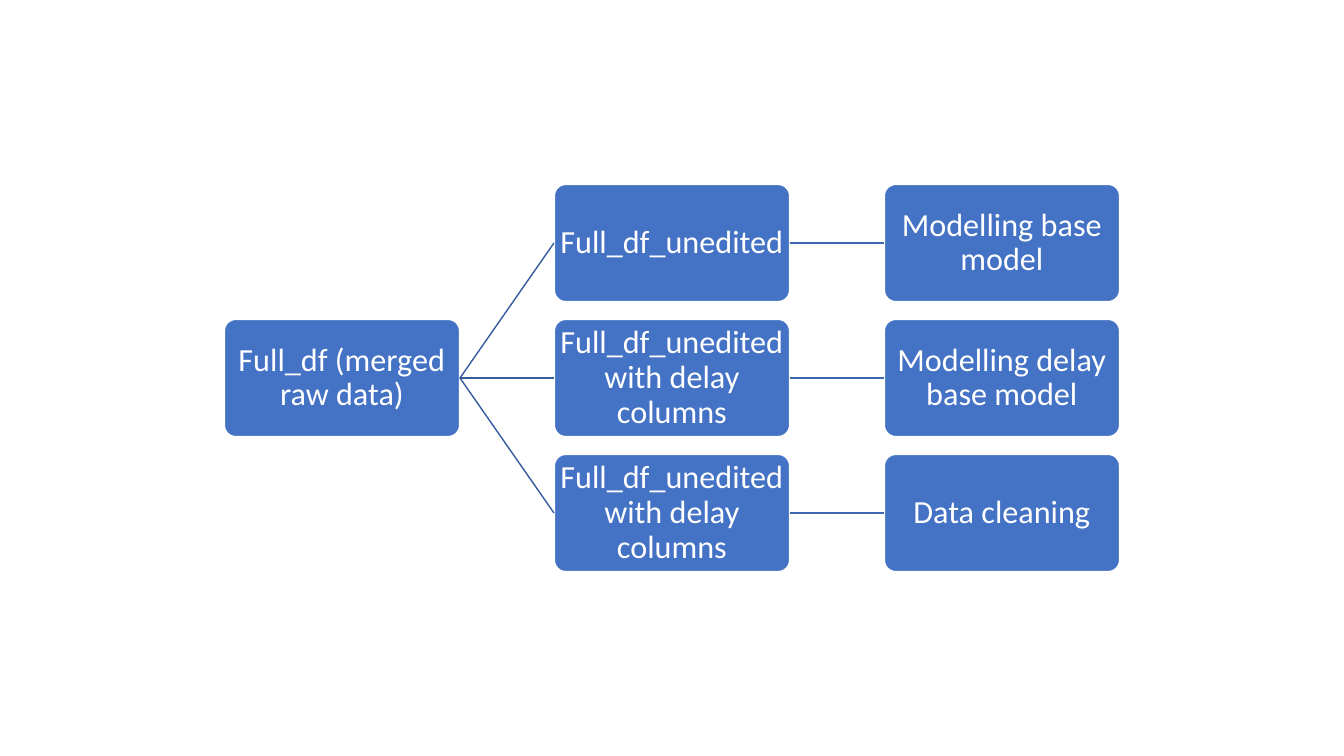
import pptx
import pptx.util
import pptx.dml.color
import pptx.enum.shapes
import pptx.enum.text
import pptx.oxml

PIXEL = 914400 / 100.8
BLUE = pptx.dml.color.RGBColor(0x44, 0x72, 0xC4)
WHITE = pptx.dml.color.RGBColor(0xFF, 0xFF, 0xFF)
ROOT_LINE = pptx.dml.color.RGBColor(0x36, 0x5B, 0x9D)
BRANCH_LINE = pptx.dml.color.RGBColor(0x3E, 0x67, 0xB2)

BOX_WIDTH, BOX_HEIGHT = 236, 118
LEFT, COLUMN_STEP = 224, 330
TOP, ROW_STEP = 184, 135
LEFT_SITE, RIGHT_SITE = 1, 3


def pixels(count):
    return pptx.util.Emu(round(count * PIXEL))


def add_box(column, row, text):
    box = slide.shapes.add_shape(
        pptx.enum.shapes.MSO_SHAPE.ROUNDED_RECTANGLE,
        pixels(LEFT + column * COLUMN_STEP), pixels(TOP + row * ROW_STEP),
        pixels(BOX_WIDTH), pixels(BOX_HEIGHT))
    box.adjustments[0] = 0.1
    box.shadow.inherit = False
    box.fill.solid()
    box.fill.fore_color.rgb = BLUE
    box.line.color.rgb = WHITE
    box.line.width = pptx.util.Pt(1.5)

    frame = box.text_frame
    frame.word_wrap = True
    frame.vertical_anchor = pptx.enum.text.MSO_ANCHOR.MIDDLE
    frame.margin_left = frame.margin_right = pixels(2)
    frame.margin_top = frame.margin_bottom = pixels(2)
    frame.text = text
    paragraph = frame.paragraphs[0]
    paragraph.alignment = pptx.enum.text.PP_ALIGN.CENTER
    paragraph.line_spacing = 0.9
    paragraph.font.name = "Calibri"
    paragraph.font.size = pptx.util.Pt(23)
    paragraph.font.color.rgb = WHITE
    return box


presentation = pptx.Presentation()
presentation.slide_width = pixels(1344)
presentation.slide_height = pixels(756)
slide = presentation.slides.add_slide(presentation.slide_layouts[6])

# Boxes: the merged data, then one dataset and its use per row
root = add_box(0, 1, "Full_df (merged raw data)")
branches = [
    ("Full_df_unedited", "Modelling base model"),
    ("Full_df_unedited with delay columns", "Modelling delay base model"),
    ("Full_df_unedited with delay columns", "Data cleaning"),
]
links = []
for row, (dataset_text, use_text) in enumerate(branches):
    dataset = add_box(1, row, dataset_text)
    use = add_box(2, row, use_text)
    links += [(root, dataset, ROOT_LINE), (dataset, use, BRANCH_LINE)]

# Connectors glued to the box sides
for source, target, color in links:
    connector = slide.shapes.add_connector(
        pptx.enum.shapes.MSO_CONNECTOR.STRAIGHT, 0, 0, 0, 0)
    connector.begin_connect(source, RIGHT_SITE)
    connector.end_connect(target, LEFT_SITE)
    connector.line.color.rgb = color
    connector.line.width = pptx.util.Pt(1)
    connector.element.spPr.append(pptx.oxml.parse_xml(
        '<a:effectLst xmlns:a="http://schemas.openxmlformats.org/drawingml/2006/main"/>'))

presentation.save("out.pptx")
